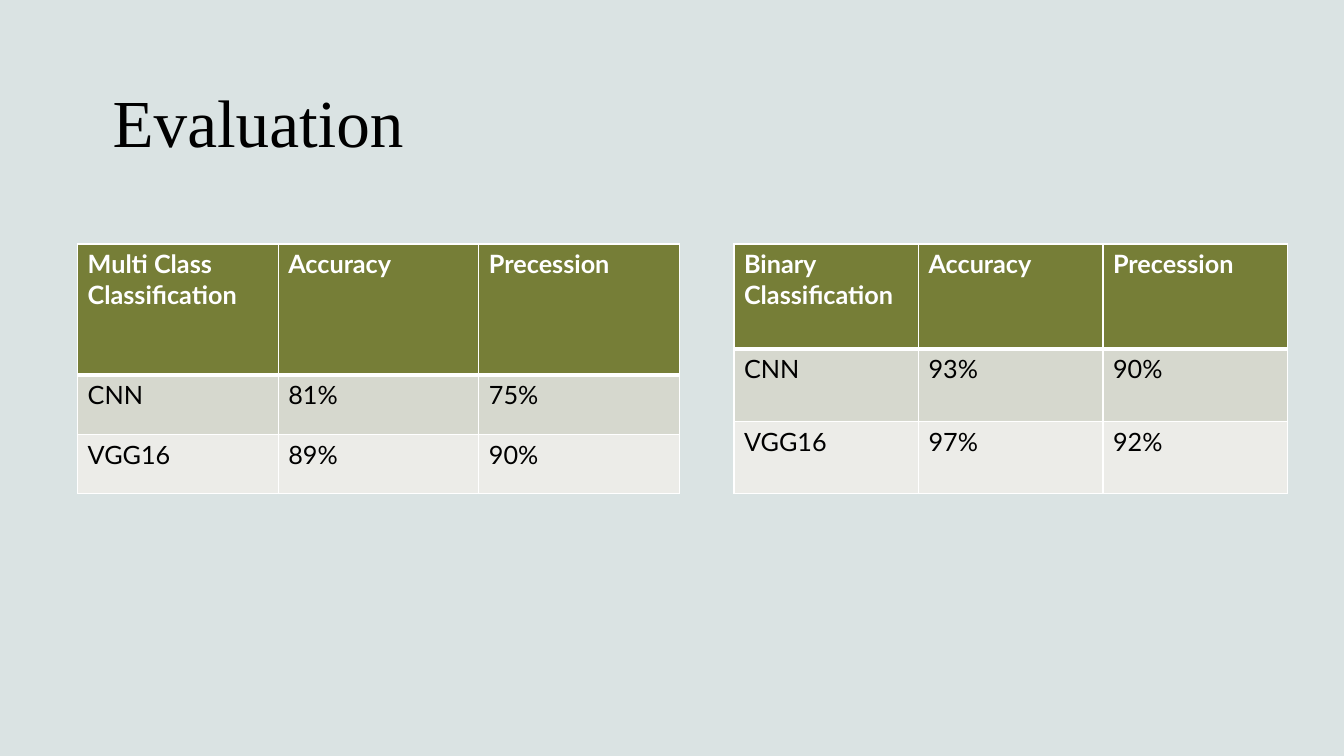
from lxml import etree
from pptx import Presentation, util as u
from pptx.dml.color import RGBColor
from pptx.enum import text
from pptx.oxml.ns import qn

TITLE = "Evaluation"
TABLES = [
    {"left": 0.77, "col": 1.99, "heights": (1.3, 0.59, 0.59),
     "rows": [("Multi Class Classification", "Accuracy", "Precession"),
              ("CNN", "81%", "75%"),
              ("VGG16", "89%", "90%")]},
    {"left": 7.28, "col": 1.83, "heights": (1.04, 0.72, 0.72),
     "rows": [("Binary Classification", "Accuracy", "Precession"),
              ("CNN", "93%", "90%"),
              ("VGG16", "97%", "92%")]},
]
TABLE_TOP = 2.42
COLORS = {"bg": "DAE3E3", "header": "767E37", "band": "D6D8CE",
          "plain": "ECECE8", "white": "FFFFFF", "black": "000000"}
ROW_FILLS = ("header", "band", "plain")


def rgb(name):
    return RGBColor.from_string(COLORS[name])


def put_text(tf, words, size=18, font="Lato", color="black", bold=False):
    r = tf.paragraphs[0].add_run()
    r.text = words
    r.font.size, r.font.name, r.font.bold = u.Pt(size), font, bold
    r.font.color.rgb = rgb(color)


def set_borders(cell, top, bottom):
    """Draw white cell edges; top and bottom are widths in points."""
    tcPr = cell._tc.get_or_add_tcPr()
    for i, (tag, width) in enumerate((("a:lnL", 1), ("a:lnR", 1),
                                      ("a:lnT", top), ("a:lnB", bottom))):
        ln = etree.Element(qn(tag), w=str(u.Pt(width)))
        fill = etree.SubElement(ln, qn("a:solidFill"))
        etree.SubElement(fill, qn("a:srgbClr"), val=COLORS["white"])
        tcPr.insert(i, ln)


def add_score_table(s, left, col, heights, rows):
    n = len(rows[0])
    table = s.shapes.add_table(
        len(rows), n, u.Inches(left), u.Inches(TABLE_TOP),
        u.Inches(col * n), u.Inches(sum(heights))).table
    for column in table.columns:
        column.width = u.Inches(col)
    for i, row in enumerate(rows):
        table.rows[i].height = u.Inches(heights[i])
        header = i == 0
        for j, words in enumerate(row):
            cell = table.cell(i, j)
            cell.fill.solid()
            cell.fill.fore_color.rgb = rgb(ROW_FILLS[i])
            set_borders(cell, top=3 if i == 1 else 1, bottom=3 if header else 1)
            put_text(cell.text_frame, words, bold=header,
                     color="white" if header else "black")


def main():
    prs = Presentation()
    prs.slide_width, prs.slide_height = u.Inches(13.33), u.Inches(7.5)
    s = prs.slides.add_slide(prs.slide_layouts[6])
    s.background.fill.solid()
    s.background.fill.fore_color.rgb = rgb("bg")

    tf = s.shapes.add_textbox(u.Inches(1.02), u.Inches(0.75),
                              u.Inches(3.13), u.Inches(0.91)).text_frame
    tf.word_wrap = True
    tf.auto_size = text.MSO_AUTO_SIZE.SHAPE_TO_FIT_TEXT
    put_text(tf, TITLE, size=48, font="Times New Roman")

    for content in TABLES:
        add_score_table(s, **content)
    prs.save("out.pptx")


if __name__ == "__main__":
    main()
